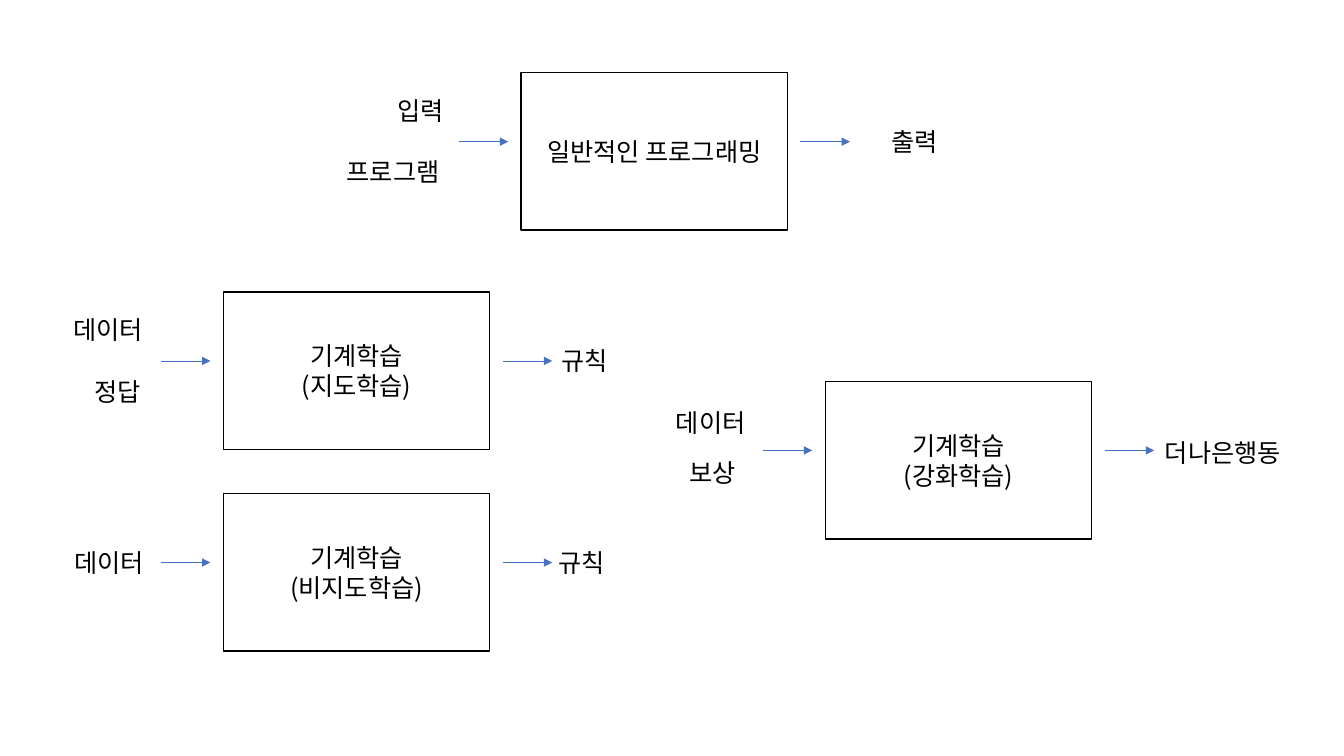
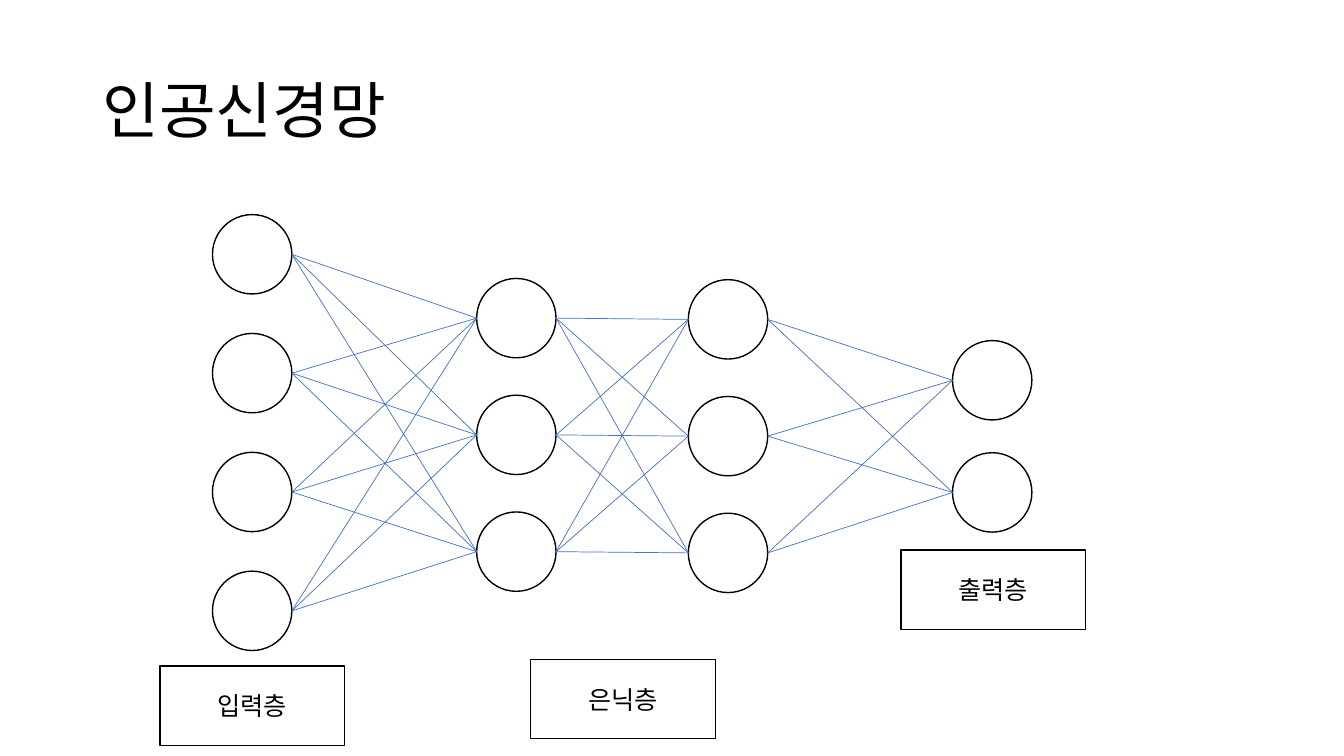
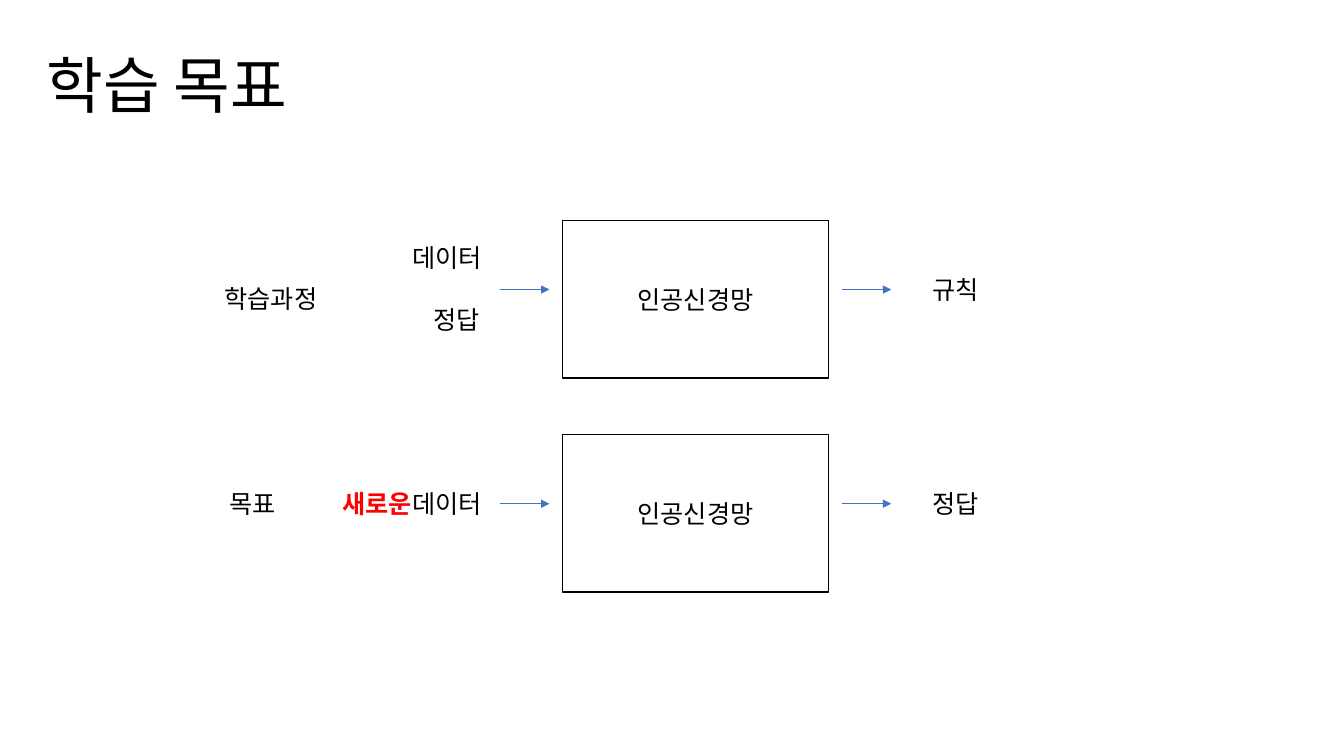
"""Three slides on machine learning: its kinds, a neural network and the learning goal."""
from dataclasses import dataclass
from itertools import product

from lxml import etree
from pptx import Presentation
from pptx import util as u
from pptx.dml.color import RGBColor
from pptx.enum import shapes, text
from pptx.oxml.ns import qn

COLS, ROWS = 160, 90
CELL = 1 / 12
FONT = "Noto Sans CJK KR"
COLORS = {"ink": "000000", "paper": "FFFFFF", "line": "4472C4", "accent": "FF0000"}
BOX_W, BOX_H = 31.7, 18.75
ARROW_Y, ARROW_GAP, ARROW_LEN = 8.22, 1.55, 5.9
LABEL_PAD, LABEL_CHAR, LABEL_H = 2.4, 3.03, 4.85
NODE = 9.45
TAG_W, TAG_H = 22, 9.45
TITLE_W, TITLE_H = 138, 17.4


@dataclass
class Label:
    x: float
    y: float
    words: str
    accent: str = ""


@dataclass
class Process:
    x: float
    y: float
    words: str
    labels: list[Label]


@dataclass
class Layer:
    x: float
    y: float
    count: int
    pitch: float

    def centers(self) -> list[float]:
        return [self.y + i * self.pitch + NODE / 2 for i in range(self.count)]


PROCESSES = [
    Process(62.05, 8.65, "일반적인 프로그래밍", [
        Label(46.1, 10.8, "입력"), Label(40.1, 18, "프로그램"), Label(104.9, 14.5, "출력")]),
    Process(26.6, 34.75, "기계학습\n(지도학습)", [
        Label(7.55, 36.85, "데이터"), Label(10.1, 44.15, "정답"), Label(65.65, 40.55, "규칙")]),
    Process(26.6, 58.75, "기계학습\n(비지도학습)", [
        Label(7.65, 64.55, "데이터"), Label(65.3, 64.55, "규칙")]),
    Process(98.25, 45.4, "기계학습\n(강화학습)", [
        Label(79.3, 47.9, "데이터"), Label(80.9, 53.9, "보상"), Label(137.5, 51.5, "더나은행동")]),
]
GOALS = [
    Process(66.95, 26.25, "인공신경망", [
        Label(47.9, 28.3, "데이터"), Label(50.4, 35.65, "정답"),
        Label(109.8, 32.05, "규칙"), Label(25.55, 33.1, "학습과정")]),
    Process(66.95, 51.75, "인공신경망", [
        Label(26.15, 57.5, "목표"), Label(39.6, 57.5, "데이터", accent="새로운"),
        Label(109.8, 57.5, "정답")]),
]
LAYERS = [Layer(25.3, 25.55, 4, 14.15), Layer(56.75, 33.15, 3, 13.9),
          Layer(81.95, 33.3, 3, 13.9), Layer(113.4, 40.55, 2, 13.35)]
TAGS = [Label(19.05, 79.3, "입력층"), Label(63.15, 78.5, "은닉층"), Label(107.25, 65.5, "출력층")]


def cells(*values: float) -> list[int]:
    return [u.Inches(v * CELL) for v in values]


def color(name: str) -> RGBColor:
    return RGBColor.from_string(COLORS[name])


def style(p, size: float, align=text.PP_ALIGN.LEFT) -> None:
    p.alignment = align
    p.font.size = u.Pt(size)
    p.font.color.rgb = color("ink")
    p.font.name = FONT
    defaults = p._p.get_or_add_pPr().get_or_add_defRPr()
    etree.SubElement(defaults, qn("a:ea"), typeface=FONT)


def add_title(s, x: float, y: float, words: str) -> None:
    sp = s.shapes.title
    sp.left, sp.top, sp.width, sp.height = cells(x, y, TITLE_W, TITLE_H)
    tf = sp.text_frame
    tf.text = words
    tf.vertical_anchor = text.MSO_ANCHOR.MIDDLE
    p = tf.paragraphs[0]
    p.line_spacing = 0.9
    style(p, 44)


def add_outline(s, kind, x: float, y: float, w: float, h: float, words: str = "") -> None:
    sp = s.shapes.add_shape(kind, *cells(x, y, w, h))
    sp.shadow.inherit = False
    sp.fill.solid()
    sp.fill.fore_color.rgb = color("paper")
    sp.line.color.rgb = color("ink")
    sp.line.width = u.Pt(1)
    if words:
        tf = sp.text_frame
        tf.text = words
        tf.vertical_anchor = text.MSO_ANCHOR.MIDDLE
        for p in tf.paragraphs:
            style(p, 18, text.PP_ALIGN.CENTER)


def add_line(s, x1: float, y1: float, x2: float, y2: float, arrow: bool = False) -> None:
    cx = s.shapes.add_connector(shapes.MSO_CONNECTOR.STRAIGHT, *cells(x1, y1, x2, y2))
    cx.line.color.rgb = color("line")
    cx.line.width = u.Pt(0.5)
    if arrow:
        etree.SubElement(cx.line._get_or_add_ln(), qn("a:tailEnd"), type="triangle")
    etree.SubElement(cx._element.spPr, qn("a:effectLst"))


def add_label(s, label: Label) -> None:
    width = LABEL_PAD + LABEL_CHAR * len(label.accent + label.words)
    tf = s.shapes.add_textbox(*cells(label.x, label.y, width, LABEL_H)).text_frame
    tf.word_wrap = False
    tf.auto_size = text.MSO_AUTO_SIZE.SHAPE_TO_FIT_TEXT
    p = tf.paragraphs[0]
    style(p, 18)
    if label.accent:
        r = p.add_run()
        r.text = label.accent
        r.font.bold = True
        r.font.color.rgb = color("accent")
    p.add_run().text = label.words


def add_process(s, process: Process) -> None:
    x, y = process.x, process.y
    add_outline(s, shapes.MSO_SHAPE.RECTANGLE, x, y, BOX_W, BOX_H, process.words)
    for start in (x - ARROW_GAP - ARROW_LEN, x + BOX_W + ARROW_GAP):
        add_line(s, start, y + ARROW_Y, start + ARROW_LEN, y + ARROW_Y, arrow=True)
    for label in process.labels:
        add_label(s, label)


def add_network(s) -> None:
    for layer in LAYERS:
        for cy in layer.centers():
            add_outline(s, shapes.MSO_SHAPE.OVAL, layer.x, cy - NODE / 2, NODE, NODE)
    for a, b in zip(LAYERS, LAYERS[1:]):
        for y1, y2 in product(a.centers(), b.centers()):
            add_line(s, a.x + NODE, y1, b.x, y2)
    for tag in TAGS:
        add_outline(s, shapes.MSO_SHAPE.RECTANGLE, tag.x, tag.y, TAG_W, TAG_H, tag.words)


def main() -> None:
    prs = Presentation()
    prs.slide_width, prs.slide_height = cells(COLS, ROWS)
    titled, blank = prs.slide_layouts[5], prs.slide_layouts[6]

    s = prs.slides.add_slide(blank)
    for process in PROCESSES:
        add_process(s, process)

    s = prs.slides.add_slide(titled)
    add_title(s, 11, 4.8, "인공신경망")
    add_network(s)

    s = prs.slides.add_slide(titled)
    add_title(s, 4.35, 1.8, "학습 목표")
    for process in GOALS:
        add_process(s, process)

    prs.save("out.pptx")


if __name__ == "__main__":
    main()
